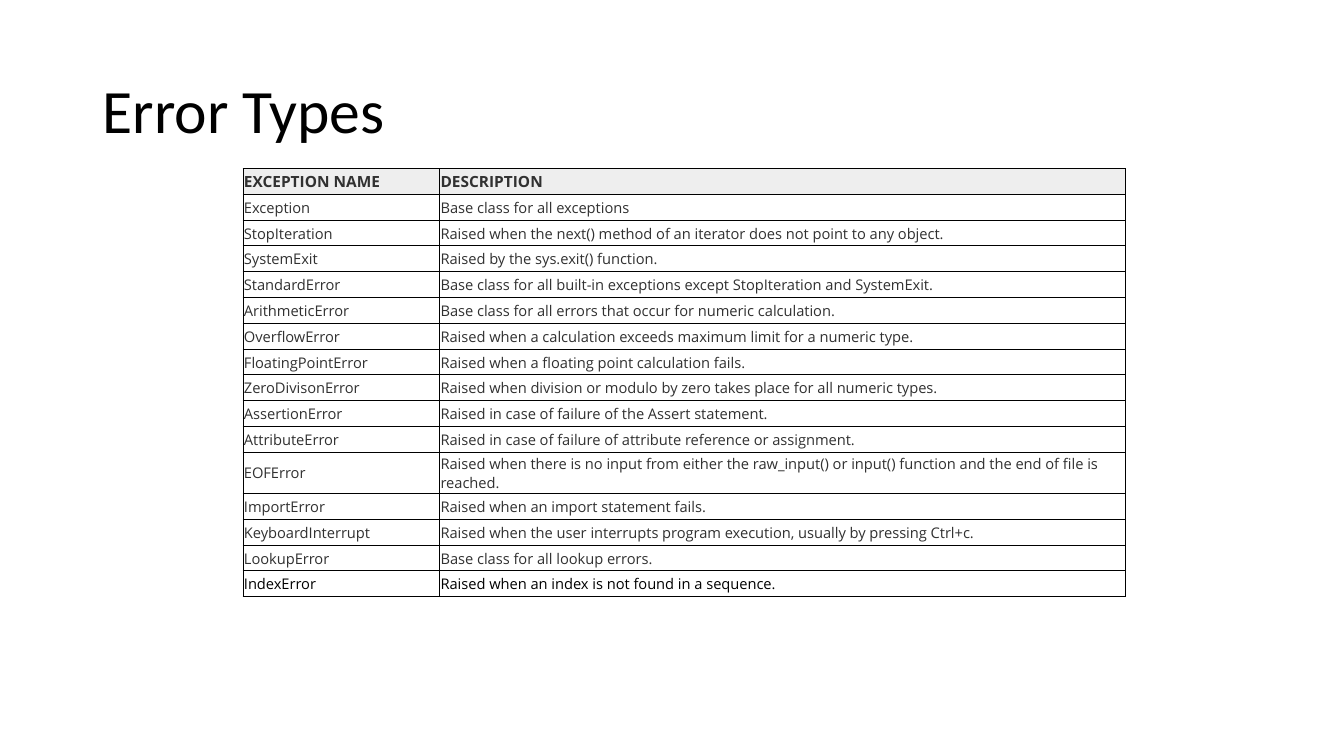
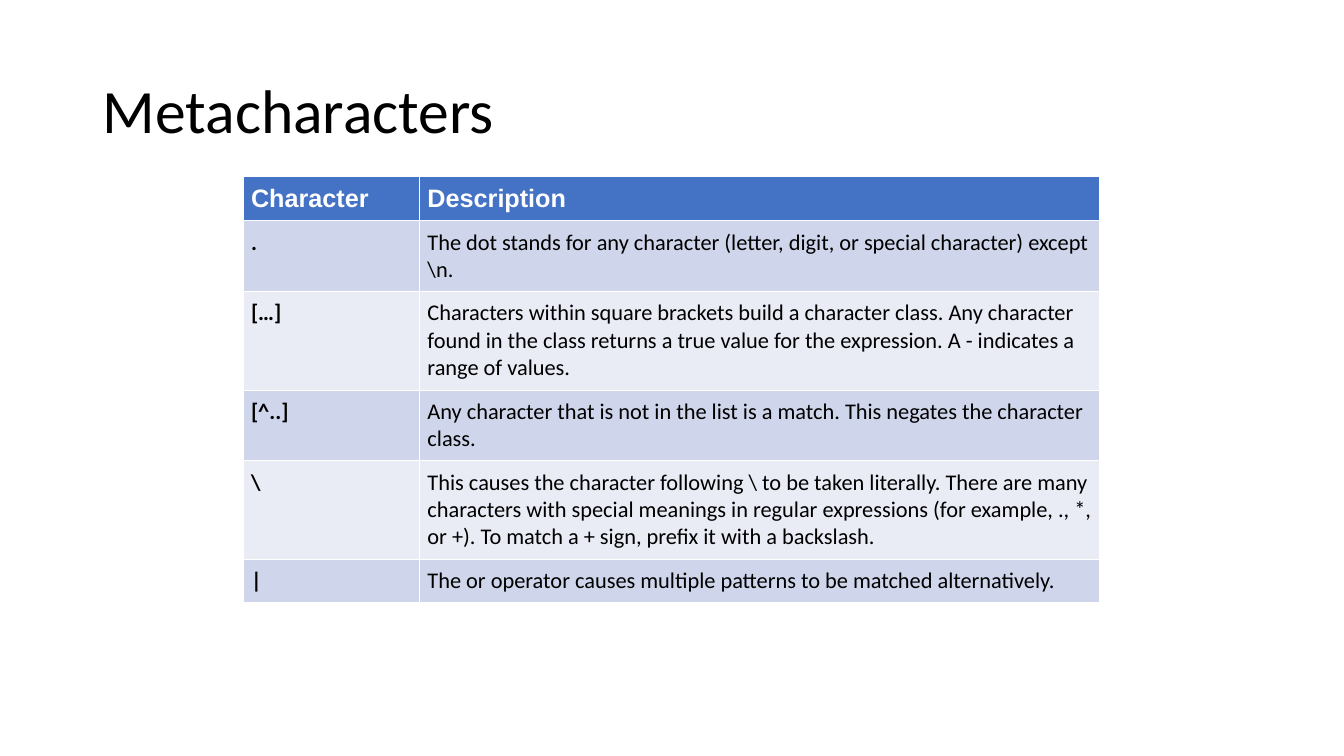
"""Build two reference slides: error types and metacharacters."""
from dataclasses import dataclass

from lxml.etree import SubElement
from pptx import Presentation
from pptx.dml.color import RGBColor
from pptx.enum.text import MSO_ANCHOR
from pptx.oxml import parse_xml
from pptx.oxml.ns import nsdecls, qn
from pptx.presentation import Presentation as Deck
from pptx.slide import Slide
from pptx.table import _Cell
from pptx.text.text import TextFrame
from pptx.util import Inches, Length, Pt

BLACK = RGBColor(0x00, 0x00, 0x00)
WHITE = RGBColor(0xFF, 0xFF, 0xFF)
CHARCOAL = RGBColor(0x31, 0x31, 0x31)
LIGHT_GREY = RGBColor(0xEE, 0xEE, 0xEE)
BLUE = RGBColor(0x44, 0x72, 0xC4)
BLUE_BAND = RGBColor(0xCF, 0xD5, 0xEA)
PALE_BAND = RGBColor(0xE9, 0xEB, 0xF5)

TABLE_LEFT = Inches(2.41)
BLANK_LAYOUT = 6


@dataclass(frozen=True)
class TextStyle:
    """Font settings of a piece of text."""

    font: str
    size: float
    color: RGBColor
    bold: bool = False


@dataclass(frozen=True)
class TableDesign:
    """Geometry and look of one table."""

    top: Length
    row_heights: tuple[Length, ...]
    columns: tuple[Length, ...]
    margins: tuple[Length, Length, Length, Length]
    anchor: MSO_ANCHOR
    border: RGBColor
    border_width: float
    header: TextStyle
    header_fill: RGBColor
    name: TextStyle
    description: TextStyle
    bands: tuple[RGBColor, ...]
    last_row_color: RGBColor


@dataclass(frozen=True)
class Topic:
    """A slide title with its table."""

    title: str
    design: TableDesign
    rows: tuple[tuple[str, str], ...]


TITLE = TextStyle("Calibri", 44, BLACK)
ERROR_TEXT = TextStyle("Open Sans", 10.5, CHARCOAL)
ERROR_ROW = Length(Inches(4.1) // 16)
ONE_LINE, TWO_LINES, THREE_LINES = Inches(0.43), Inches(0.7), Inches(0.98)

ERROR_DESIGN = TableDesign(
    top=Inches(1.67),
    row_heights=(ERROR_ROW,) * 11 + (Inches(0.41),) + (ERROR_ROW,) * 4,
    columns=(Inches(1.95), Inches(6.8)),
    margins=(Inches(0.01), Inches(0.01), Inches(0.01), Inches(0)),
    anchor=MSO_ANCHOR.MIDDLE,
    border=BLACK,
    border_width=0.5,
    header=TextStyle("Open Sans", 11, CHARCOAL, bold=True),
    header_fill=LIGHT_GREY,
    name=ERROR_TEXT,
    description=ERROR_TEXT,
    bands=(WHITE,),
    last_row_color=BLACK,
)

CHARACTER_DESIGN = TableDesign(
    top=Inches(1.75),
    row_heights=(ONE_LINE, TWO_LINES, THREE_LINES, TWO_LINES, THREE_LINES, ONE_LINE),
    columns=(Inches(1.75), Inches(6.75)),
    margins=(Inches(0.08), Inches(0.08), Inches(0.08), Inches(0.06)),
    anchor=MSO_ANCHOR.TOP,
    border=WHITE,
    border_width=1,
    header=TextStyle("Arial", 18, WHITE, bold=True),
    header_fill=BLUE,
    name=TextStyle("Calibri", 16, BLACK, bold=True),
    description=TextStyle("Calibri", 16, BLACK),
    bands=(BLUE_BAND, PALE_BAND),
    last_row_color=BLACK,
)

TOPICS = (
    Topic("Error Types", ERROR_DESIGN, (
        ("EXCEPTION NAME", "DESCRIPTION"),
        ("Exception", "Base class for all exceptions"),
        ("StopIteration", "Raised when the next() method of an iterator does not point to any object."),
        ("SystemExit", "Raised by the sys.exit() function."),
        ("StandardError", "Base class for all built-in exceptions except StopIteration and SystemExit."),
        ("ArithmeticError", "Base class for all errors that occur for numeric calculation."),
        ("OverflowError", "Raised when a calculation exceeds maximum limit for a numeric type."),
        ("FloatingPointError", "Raised when a floating point calculation fails."),
        ("ZeroDivisonError", "Raised when division or modulo by zero takes place for all numeric types."),
        ("AssertionError", "Raised in case of failure of the Assert statement."),
        ("AttributeError", "Raised in case of failure of attribute reference or assignment."),
        ("EOFError", "Raised when there is no input from either the raw_input() or input() function "
                     "and the end of file is reached."),
        ("ImportError", "Raised when an import statement fails."),
        ("KeyboardInterrupt", "Raised when the user interrupts program execution, usually by pressing Ctrl+c."),
        ("LookupError", "Base class for all lookup errors."),
        ("IndexError", "Raised when an index is not found in a sequence."),
    )),
    Topic("Metacharacters", CHARACTER_DESIGN, (
        ("Character", "Description"),
        (".", "The dot stands for any character (letter, digit, or special character) except \\n."),
        ("[…]", "Characters within square brackets build a character class. Any character found in "
                "the class returns a true value for the expression. A - indicates a range of values."),
        ("[^..]", "Any character that is not in the list is a match. This negates the character class."),
        ("\\", "This causes the character following \\ to be taken literally. There are many characters "
               "with special meanings in regular expressions (for example, ., *, or +). To match a + sign, "
               "prefix it with a backslash."),
        ("|", "The or operator causes multiple patterns to be matched alternatively."),
    )),
)


def write_text(frame: TextFrame, text: str, *, font: str, size: float, color: RGBColor,
               bold: bool = False, line_spacing: float = 1.0) -> None:
    """Write one formatted paragraph into a text frame."""
    paragraph = frame.paragraphs[0]
    paragraph.line_spacing = line_spacing
    run = paragraph.add_run()
    run.text = text
    run.font.name = font
    run.font.size = Pt(size)
    run.font.bold = bold
    run.font.color.rgb = color


def add_title(slide: Slide, title: str) -> None:
    """Add the slide title."""
    frame = slide.shapes.add_textbox(Inches(0.92), Inches(0.4), Inches(11.5), Inches(1.45)).text_frame
    frame.word_wrap = True
    frame.vertical_anchor = MSO_ANCHOR.MIDDLE
    write_text(frame, title, font=TITLE.font, size=TITLE.size, color=TITLE.color, line_spacing=0.9)


def set_borders(cell: _Cell, color: RGBColor, width: float) -> None:
    """Draw a solid line on all four sides of a cell."""
    properties = cell._tc.get_or_add_tcPr()
    for position, side in enumerate("LRTB"):
        line = parse_xml(f'<a:ln{side} {nsdecls("a")} w="{Pt(width)}"/>')
        fill = SubElement(line, qn("a:solidFill"))
        SubElement(fill, qn("a:srgbClr"), val=str(color))
        properties.insert(position, line)


def add_table(slide: Slide, design: TableDesign, rows: tuple[tuple[str, str], ...]) -> None:
    """Add a table with a header row and banded body rows."""
    table = slide.shapes.add_table(len(rows), len(design.columns), TABLE_LEFT, design.top,
                                   sum(design.columns), sum(design.row_heights)).table
    table.horz_banding = False
    for column, width in zip(table.columns, design.columns):
        column.width = width
    for table_row, height in zip(table.rows, design.row_heights):
        table_row.height = height
    for row_index, row in enumerate(rows):
        is_header = row_index == 0
        is_last = row_index == len(rows) - 1
        band = design.bands[(row_index - 1) % len(design.bands)]
        for column_index, text in enumerate(row):
            cell = table.cell(row_index, column_index)
            body = (design.name, design.description)[column_index]
            style = design.header if is_header else body
            cell.margin_left, cell.margin_top, cell.margin_right, cell.margin_bottom = design.margins
            cell.vertical_anchor = design.anchor
            cell.fill.solid()
            cell.fill.fore_color.rgb = design.header_fill if is_header else band
            set_borders(cell, design.border, design.border_width)
            write_text(cell.text_frame, text, font=style.font, size=style.size, bold=style.bold,
                       color=design.last_row_color if is_last else style.color)


def add_topic(deck: Deck, topic: Topic) -> None:
    """Add one slide with its title and table."""
    slide = deck.slides.add_slide(deck.slide_layouts[BLANK_LAYOUT])
    add_title(slide, topic.title)
    add_table(slide, topic.design, topic.rows)


def main() -> None:
    """Build and save the presentation."""
    deck = Presentation()
    deck.slide_width = Inches(13.33)
    deck.slide_height = Inches(7.5)
    for topic in TOPICS:
        add_topic(deck, topic)
    deck.save("out.pptx")


if __name__ == "__main__":
    main()
